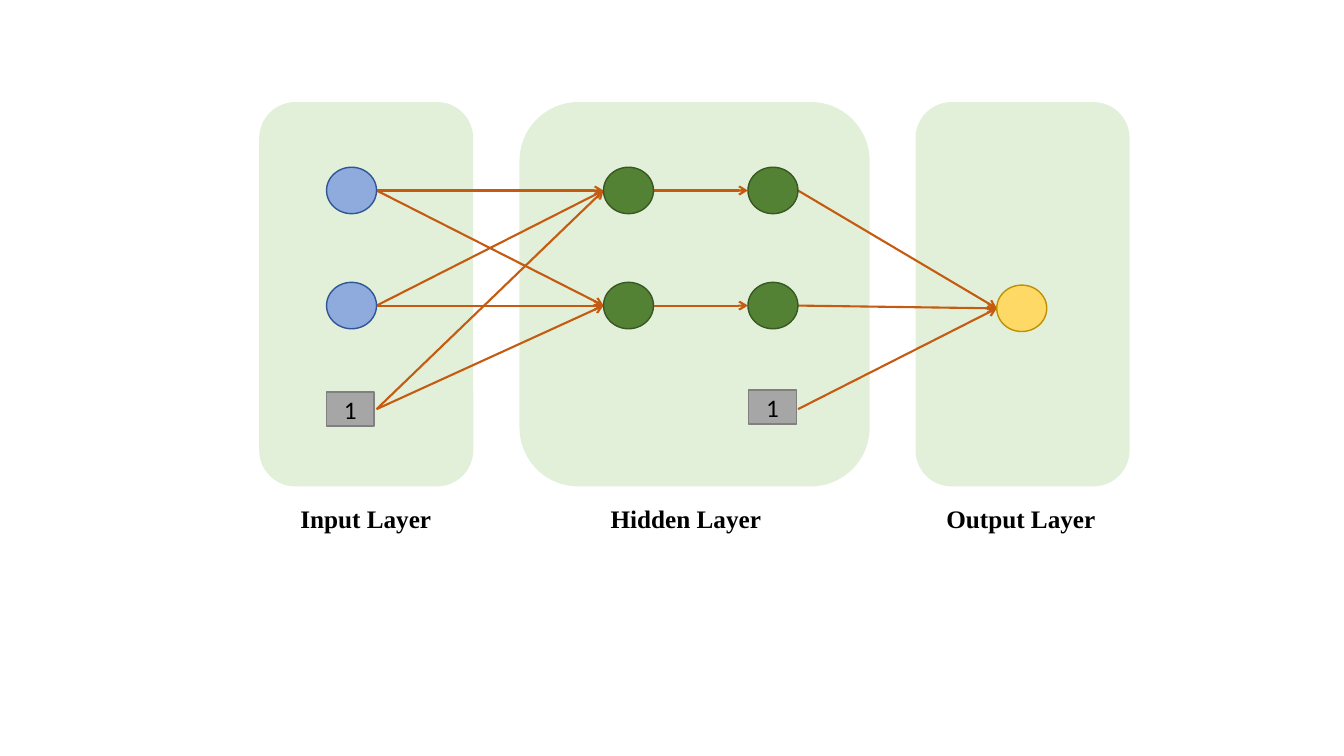
from lxml.etree import SubElement
from pptx import Presentation
from pptx.dml.color import RGBColor
from pptx.enum.shapes import MSO_CONNECTOR as Link, MSO_SHAPE as Preset
from pptx.enum.text import MSO_ANCHOR as Anchor, MSO_AUTO_SIZE as Fit, PP_ALIGN as Align
from pptx.oxml.ns import qn
from pptx.util import Cm, Pt


def color(value):
    return RGBColor.from_string(value)


def add_block(preset, left, top, width, height, fill, outline):
    block = slide.shapes.add_shape(preset, Cm(left), Cm(top), Cm(width), Cm(height))
    block.shadow.inherit = False
    block.fill.solid()
    block.fill.fore_color.rgb = color(fill)
    block.line.color.rgb = color(outline)
    block.line.width = Pt(1)
    return block


deck = Presentation()
deck.slide_width, deck.slide_height = Cm(33.87), Cm(19.05)
slide = deck.slides.add_slide(deck.slide_layouts[6])

for left, width in [(23.09, 5.36), (13.11, 8.79), (6.55, 5.36)]:
    add_block(Preset.ROUNDED_RECTANGLE, left, 2.59, width, 9.65, "E2F0D9", "E2F0D9")

node_width, node_height = 1.26, 1.17
input_x, hidden_x, activation_x, output_x = 8.23, 15.21, 18.85, 25.12
rows = [4.8, 7.7]
output_y, bias_y = 7.77, 10.31

links = [(input_x, start, hidden_x, end) for start in rows + [bias_y] for end in rows]
links += [(hidden_x, row, activation_x, row) for row in rows]
links += [(activation_x, start, output_x, output_y) for start in rows + [bias_y]]
for start_x, start_y, end_x, end_y in links:
    link = slide.shapes.add_connector(
        Link.STRAIGHT, Cm(start_x + node_width), Cm(start_y), Cm(end_x), Cm(end_y))
    link.line.color.rgb = color("C55A11")
    link.line.width = Pt(1.5)
    SubElement(link.line._get_or_add_ln(), qn("a:tailEnd"), type="arrow")
    SubElement(link._element.spPr, qn("a:effectLst"))

node_groups = [
    (input_x, rows, "8FAADC", "2F5597"),
    (hidden_x, rows, "548235", "385723"),
    (activation_x, rows, "548235", "385723"),
    (output_x, [output_y], "FFD966", "BF9000"),
]
for left, centers, fill, outline in node_groups:
    for center in centers:
        add_block(Preset.OVAL, left, center - node_height / 2,
                  node_width, node_height, fill, outline)

bias_font = {"name": "Calibri", "size": Pt(18)}
for left, top in [(input_x, 9.88), (18.87, 9.83)]:
    bias = add_block(Preset.RECTANGLE, left, top, 1.2, 0.86, "A6A6A6", "808080")
    bias.text_frame.vertical_anchor = Anchor.MIDDLE
    paragraph = bias.text_frame.paragraphs[0]
    paragraph.text = "1"
    paragraph.alignment = Align.CENTER
    for key, value in bias_font.items():
        setattr(paragraph.font, key, value)
    paragraph.font.color.rgb = color("000000")

label_font = {"name": "Times New Roman", "size": Pt(18), "bold": True}
for text, left, width in [("Input Layer", 7.32, 3.84),
                          ("Hidden Layer", 15.14, 4.34),
                          ("Output Layer", 23.6, 4.32)]:
    label = slide.shapes.add_textbox(Cm(left), Cm(12.57), Cm(width), Cm(1.02)).text_frame
    label.word_wrap = False
    label.auto_size = Fit.SHAPE_TO_FIT_TEXT
    paragraph = label.paragraphs[0]
    paragraph.text = text
    for key, value in label_font.items():
        setattr(paragraph.font, key, value)
    paragraph.font.color.rgb = color("000000")

deck.save("out.pptx")
